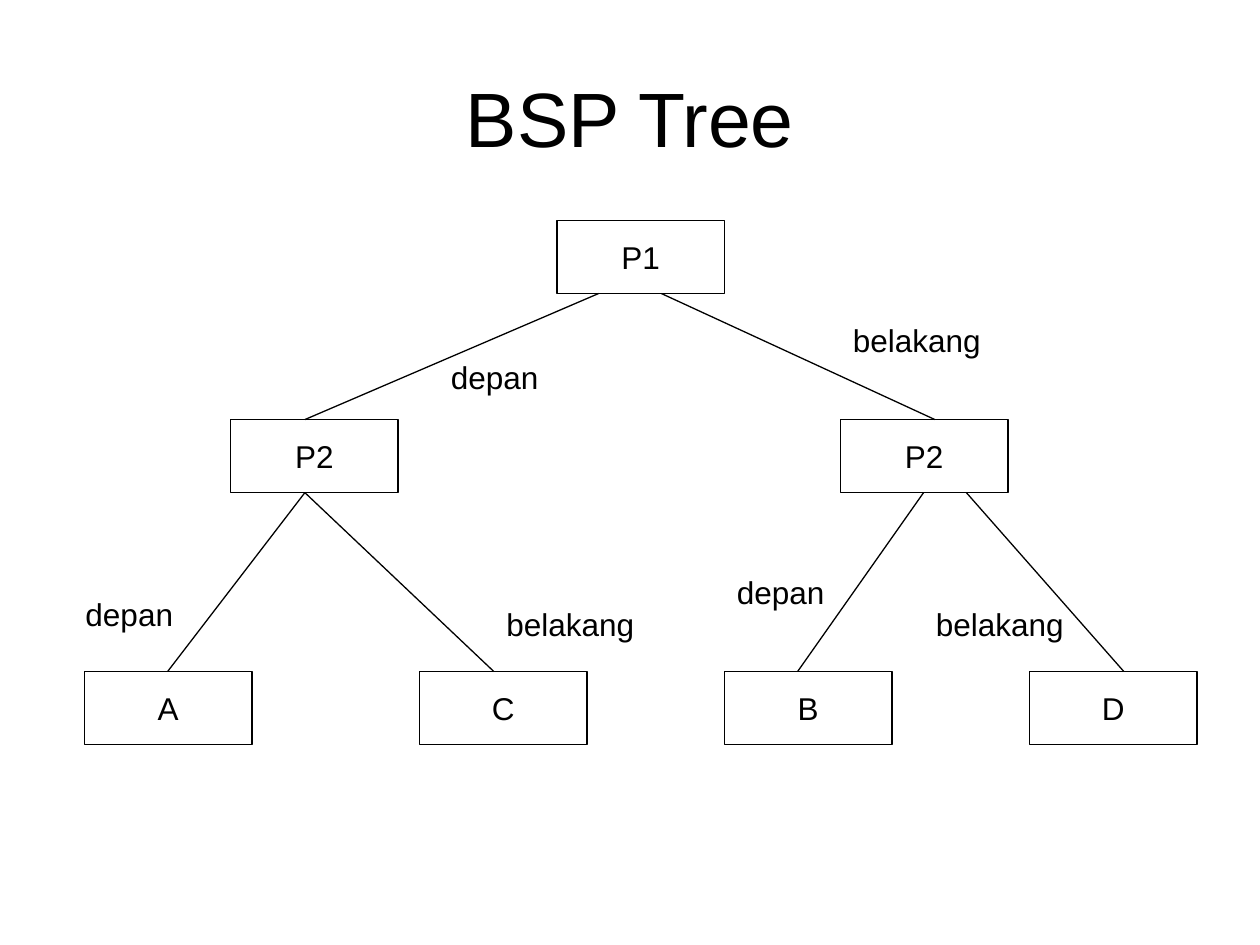
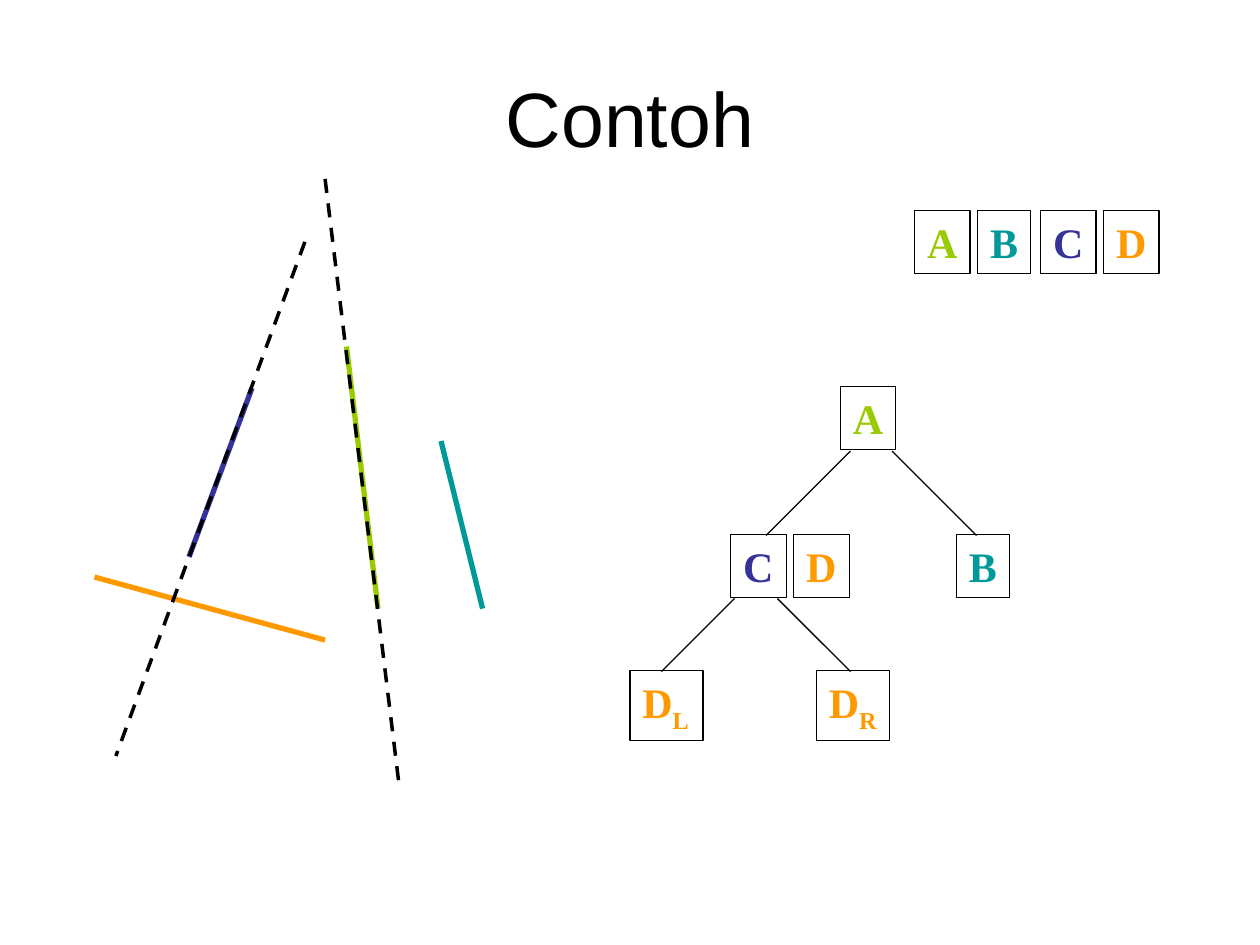
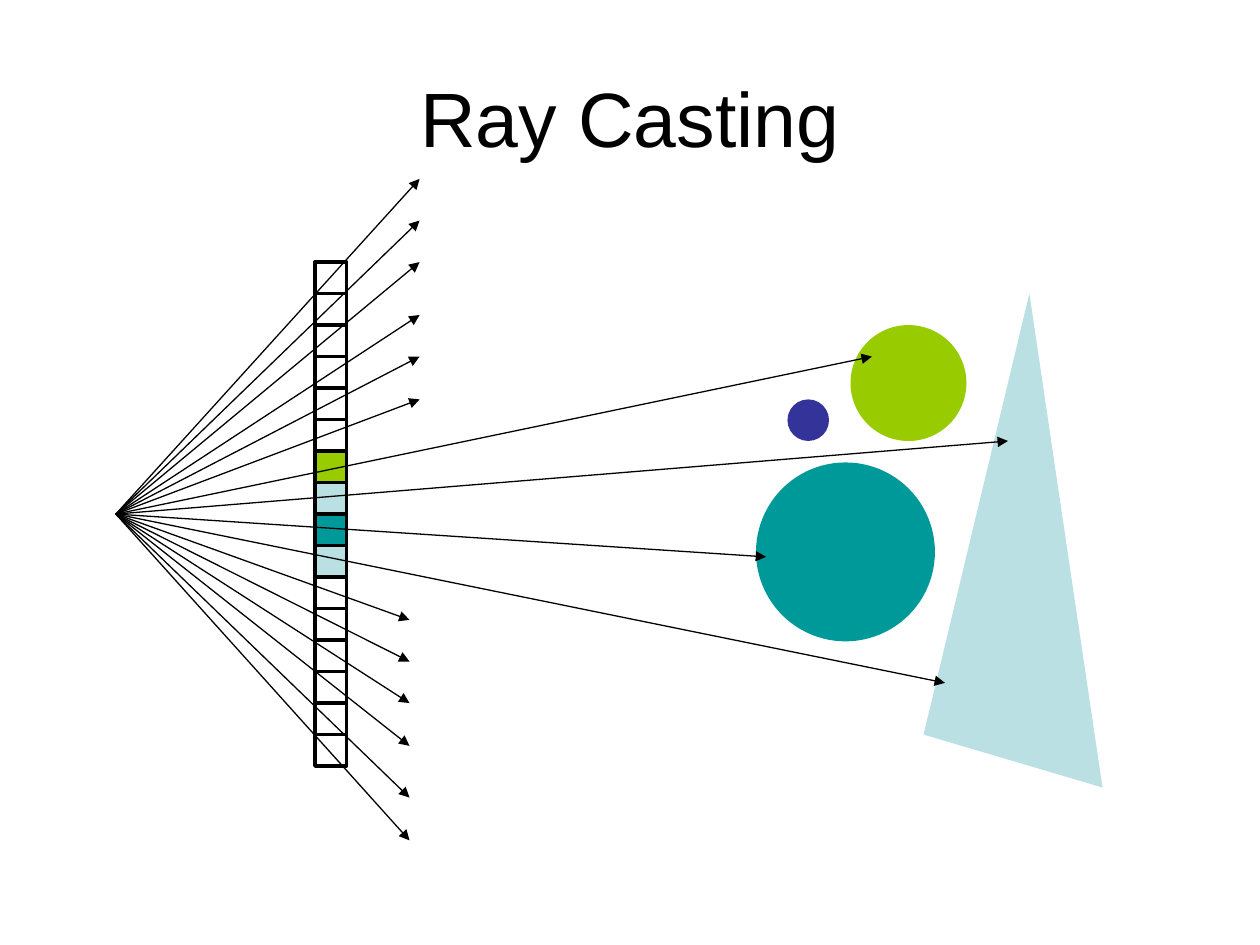
from dataclasses import dataclass

from lxml.etree import SubElement
from pptx import Presentation
from pptx.dml.color import RGBColor
from pptx.enum.dml import MSO_LINE
from pptx.enum.shapes import MSO_CONNECTOR, MSO_SHAPE
from pptx.enum.text import MSO_ANCHOR, MSO_AUTO_SIZE, PP_ALIGN
from pptx.oxml.ns import qn
from pptx.util import Inches, Pt


@dataclass(frozen=True)
class Theme:
    black: str = "000000"
    white: str = "FFFFFF"
    lime: str = "99CC00"
    teal: str = "009999"
    indigo: str = "333399"
    orange: str = "FF9900"
    pale: str = "BBE0E3"
    sans: str = "Arial"
    serif: str = "Times New Roman"
    title_size: int = 44
    body_size: int = 18
    letter_size: int = 24
    thin: float = 0.75
    medium: float = 2
    thick: float = 3


THEME = Theme()
LETTER_COLORS = {"A": THEME.lime, "B": THEME.teal,
                 "C": THEME.indigo, "D": THEME.orange}


@dataclass(frozen=True)
class Box:
    """A region whose parts are placed from its top left corner, in inches."""
    left: float
    top: float

    def at(self, x, y):
        return Inches(self.left + x), Inches(self.top + y)


def style_runs(paragraph, font, size, color, bold=False):
    for run in paragraph.runs:
        run.font.name = font
        run.font.size = Pt(size)
        run.font.bold = bold
        run.font.color.rgb = RGBColor.from_string(color)


def add_titled_slide(deck, title):
    slide = deck.slides.add_slide(deck.slide_layouts[5])
    heading = slide.shapes.title
    heading.left, heading.top = Inches(0.5), Inches(0.3)
    heading.width, heading.height = Inches(9), Inches(1.25)
    frame = heading.text_frame
    frame.text = title
    frame.vertical_anchor = MSO_ANCHOR.MIDDLE
    frame.paragraphs[0].alignment = PP_ALIGN.CENTER
    style_runs(frame.paragraphs[0], THEME.sans, THEME.title_size, THEME.black)
    return slide


def paint(shape, fill=None, line=None, width=THEME.thin):
    """Give a shape a flat look; without a colour, fill or line is left off."""
    shape.shadow.inherit = False
    if fill:
        shape.fill.solid()
        shape.fill.fore_color.rgb = RGBColor.from_string(fill)
    else:
        shape.fill.background()
    if line:
        shape.line.color.rgb = RGBColor.from_string(line)
        shape.line.width = Pt(width)
    else:
        shape.line.fill.background()


def add_line(shapes, box, start, end, color=THEME.black, width=THEME.thin,
             dashed=False, arrow=False):
    line = shapes.add_connector(MSO_CONNECTOR.STRAIGHT,
                                *box.at(*start), *box.at(*end))
    line.line.color.rgb = RGBColor.from_string(color)
    line.line.width = Pt(width)
    if dashed:
        line.line.dash_style = MSO_LINE.DASH
    if arrow:
        SubElement(line.line._get_or_add_ln(), qn("a:tailEnd"), type="triangle")
    SubElement(line._element.spPr, qn("a:effectLst"))


def draw_bsp_tree(shapes, box):
    node_width, node_height = 1.33, 0.58
    level_tops = (0, 1.58, 3.58)
    levels = (
        (("P1", 3.75),),
        (("P2", 1.16), ("P2", 6)),
        (("A", 0), ("C", 2.66), ("B", 5.08), ("D", 7.5)),
    )
    for top, nodes in zip(level_tops, levels):
        for name, left in nodes:
            node = shapes.add_shape(MSO_SHAPE.RECTANGLE, *box.at(left, top),
                                    Inches(node_width), Inches(node_height))
            paint(node, THEME.white, THEME.black)
            frame = node.text_frame
            frame.text = name
            frame.word_wrap = False
            frame.vertical_anchor = MSO_ANCHOR.MIDDLE
            frame.paragraphs[0].alignment = PP_ALIGN.CENTER
            style_runs(frame.paragraphs[0], THEME.sans, THEME.body_size, THEME.black)

    branches = (
        ((4.58, 6.75), (4.08, 1.75)),
        ((1.75, 0.66), (1.75, 3.25), (6.66, 5.66), (7, 8.25)),
    )
    for parent_top, child_top, pairs in zip(level_tops, level_tops[1:], branches):
        for parent_x, child_x in pairs:
            add_line(shapes, box, (parent_x, parent_top + node_height),
                     (child_x, child_top))

    label_widths = {"depan": 0.91, "belakang": 1.23}
    sides = (("depan", -0.09, 2.92), ("belakang", 6.66, 3),
             ("belakang", 3.25, 3), ("depan", 5.08, 2.75),
             ("depan", 2.81, 1.04), ("belakang", 6, 0.75))
    for side, left, top in sides:
        label = shapes.add_textbox(*box.at(left, top),
                                   Inches(label_widths[side]), Inches(0.4))
        frame = label.text_frame
        frame.text = side
        frame.word_wrap = False
        style_runs(frame.paragraphs[0], THEME.sans, THEME.body_size, THEME.black)


def draw_segments(shapes, box):
    segments = {
        "C": ((1.25, 1.66), (0.75, 3)),
        "A": ((2, 1.33), (2.25, 3.41)),
        "D": ((0, 3.16), (1.83, 3.66)),
        "B": ((2.75, 2.08), (3.08, 3.41)),
    }
    for letter, (start, end) in segments.items():
        add_line(shapes, box, start, end, LETTER_COLORS[letter], THEME.thick)
    partitions = (((1.83, 0), (2.42, 4.83)), ((1.67, 0.5), (0.17, 4.58)))
    for start, end in partitions:
        add_line(shapes, box, start, end, width=THEME.medium, dashed=True)


def add_letter(shapes, box, letter, x, y, subscript=""):
    """Frame a coloured letter, with an optional subscript."""
    width, height = (0.58, 0.56) if subscript else (0.42 if letter == "B" else 0.44, 0.5)
    tile = shapes.add_shape(MSO_SHAPE.RECTANGLE, *box.at(x, y),
                            Inches(width), Inches(height))
    paint(tile, line=THEME.black)
    frame = tile.text_frame
    frame.text = letter
    frame.word_wrap = False
    frame.auto_size = MSO_AUTO_SIZE.SHAPE_TO_FIT_TEXT
    frame.vertical_anchor = MSO_ANCHOR.TOP
    paragraph = frame.paragraphs[0]
    paragraph.alignment = PP_ALIGN.LEFT
    if subscript:
        lowered = paragraph.add_run()
        lowered.text = subscript
        lowered._r.get_or_add_rPr().set("baseline", "-25000")
    style_runs(paragraph, THEME.serif, THEME.letter_size,
               LETTER_COLORS[letter], bold=True)


def draw_letter_list(shapes, box):
    for index, letter in enumerate(LETTER_COLORS):
        add_letter(shapes, box, letter, index * 0.5, 0)


def draw_letter_tree(shapes, box):
    for letter, x, y in (("A", 1.67, 0), ("B", 2.59, 1.17),
                         ("C", 0.8, 1.17), ("D", 1.3, 1.17)):
        add_letter(shapes, box, letter, x, y)
    for half, x in (("R", 1.48), ("L", 0)):
        add_letter(shapes, box, "D", x, 2.25, half)
    branches = (((2.08, 0.51), (2.75, 1.18)), ((1.75, 0.51), (1.08, 1.18)),
                ((0.83, 1.68), (0.25, 2.26)), ((1.17, 1.68), (1.75, 2.26)))
    for start, end in branches:
        add_line(shapes, box, start, end)


def draw_pixel_column(shapes, box):
    side, count = 0.25, 16
    hit_colors = {6: THEME.lime, 7: THEME.pale, 8: THEME.teal, 9: THEME.pale}
    column = shapes.add_group_shape()
    for row in range(count):
        pixel = column.shapes.add_shape(MSO_SHAPE.RECTANGLE, *box.at(0, row * side),
                                        Inches(side), Inches(side))
        paint(pixel, hit_colors.get(row), THEME.black, THEME.medium)


def draw_scene(shapes, box):
    def add_ball(x, y, diameter, color):
        ball = shapes.add_shape(MSO_SHAPE.OVAL, *box.at(x, y),
                                Inches(diameter), Inches(diameter))
        paint(ball, color)

    add_ball(0, 1.34, 1.42, THEME.teal)
    outline = shapes.build_freeform(*box.at(1.33, 3.5))
    outline.add_line_segments([box.at(2.17, 0), box.at(2.75, 3.92)], close=True)
    paint(outline.convert_to_shape(), THEME.pale)
    add_ball(0.75, 0.25, 0.92, THEME.lime)
    add_ball(0.25, 0.84, 0.33, THEME.indigo)


def draw_rays(shapes, eye):
    """Draw arrows from the eye, which is the corner of the given box."""
    misses_above = [(2.41, y) for y in (-2.66, -2.33, -2, -1.58, -1.25, -0.91)]
    hits = [(6, -1.25), (7.08, -0.58), (5.16, 0.34), (6.58, 1.34)]
    misses_below = [(2.33, y) for y in (0.84, 1.17, 1.5, 1.84, 2.25, 2.59)]
    for target in misses_above + hits + misses_below:
        add_line(shapes, eye, (0, 0), target, arrow=True)


def main():
    deck = Presentation()
    deck.slide_width, deck.slide_height = Inches(10), Inches(7.5)

    bsp_tree = add_titled_slide(deck, "BSP Tree")
    draw_bsp_tree(bsp_tree.shapes, Box(0.67, 1.75))

    example = add_titled_slide(deck, "Contoh")
    draw_segments(example.shapes, Box(0.75, 1.42))
    draw_letter_list(example.shapes, Box(7.26, 1.67))
    draw_letter_tree(example.shapes, Box(5, 3.07))

    ray_casting = add_titled_slide(deck, "Ray Casting")
    draw_pixel_column(ray_casting.shapes, Box(2.5, 2.08))
    draw_scene(ray_casting.shapes, Box(6, 2.33))
    draw_rays(ray_casting.shapes, Box(0.92, 4.08))

    deck.save("out.pptx")


if __name__ == "__main__":
    main()
